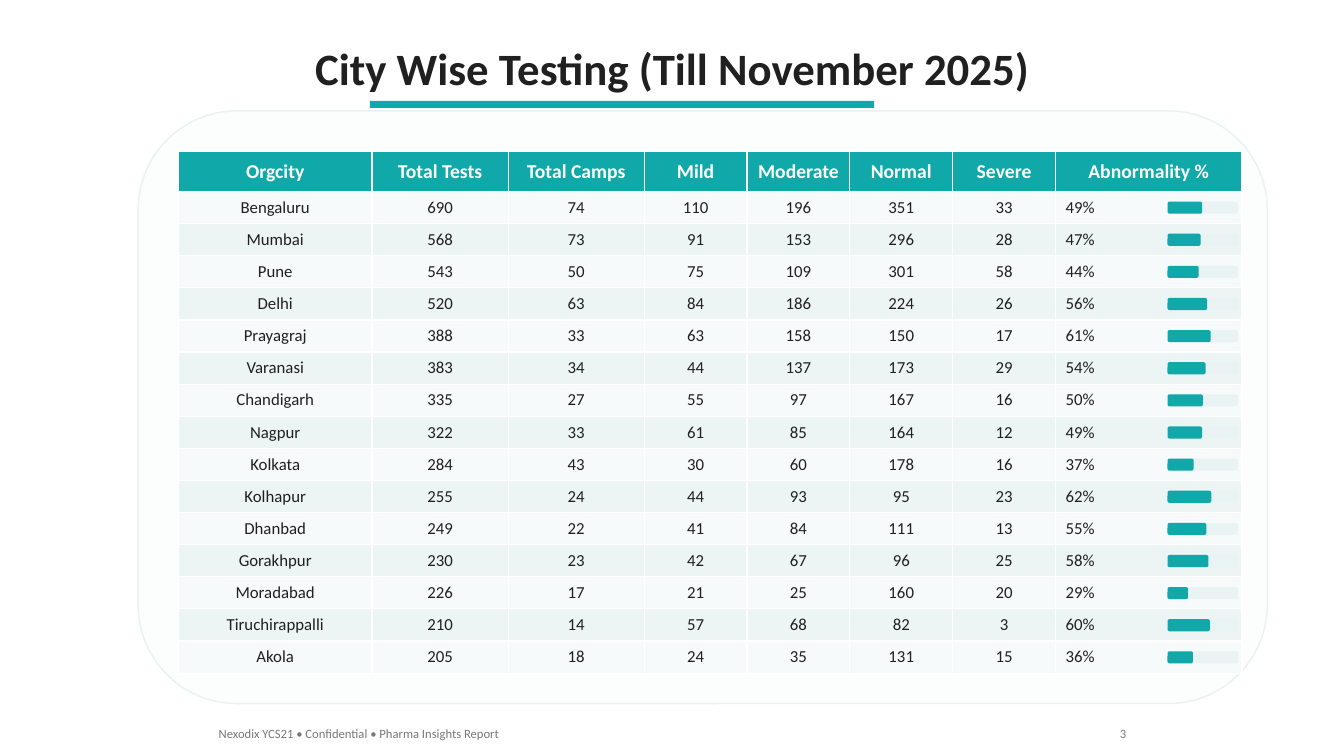
"""Build the city wise testing slide with its table and abnormality bars."""
from pptx import Presentation
from pptx.dml.color import RGBColor
from pptx.enum.shapes import MSO_SHAPE
from pptx.enum.text import MSO_ANCHOR, MSO_AUTO_SIZE, PP_ALIGN
from pptx.util import Inches, Pt

TEAL, INK, GREY, WHITE = "10A8A8", "202020", "787878", "FFFFFF"
CARD, CARD_EDGE, TRACK = "FCFDFD", "EBF0F0", "EAF3F3"
BANDS = ("F6FAFA", "ECF4F4")

HEADERS = ("Orgcity", "Total Tests", "Total Camps", "Mild", "Moderate",
           "Normal", "Severe", "Abnormality %")
CITIES = [
    ("Bengaluru", 690, 74, 110, 196, 351, 33, 49),
    ("Mumbai", 568, 73, 91, 153, 296, 28, 47),
    ("Pune", 543, 50, 75, 109, 301, 58, 44),
    ("Delhi", 520, 63, 84, 186, 224, 26, 56),
    ("Prayagraj", 388, 33, 63, 158, 150, 17, 61),
    ("Varanasi", 383, 34, 44, 137, 173, 29, 54),
    ("Chandigarh", 335, 27, 55, 97, 167, 16, 50),
    ("Nagpur", 322, 33, 61, 85, 164, 12, 49),
    ("Kolkata", 284, 43, 30, 60, 178, 16, 37),
    ("Kolhapur", 255, 24, 44, 93, 95, 23, 62),
    ("Dhanbad", 249, 22, 41, 84, 111, 13, 55),
    ("Gorakhpur", 230, 23, 42, 67, 96, 25, 58),
    ("Moradabad", 226, 17, 21, 25, 160, 20, 29),
    ("Tiruchirappalli", 210, 14, 57, 68, 82, 3, 60),
    ("Akola", 205, 18, 24, 35, 131, 15, 36),
]
TITLE_FORMAT = {"size": Pt(32), "bold": True}
HEADER_FORMAT = {"size": Pt(14), "bold": True}
BODY_FORMAT = {"size": Pt(12), "bold": False}
FOOTER_FORMAT = {"size": Pt(9)}
TEXTS = [
    ("City Wise Testing (Till November 2025)", (2.99, 0.35, 7.36, 0.64),
     TITLE_FORMAT, INK, PP_ALIGN.CENTER),
    ("Nexodix YCS21 • Confidential • Pharma Insights Report",
     (2.07, 7.15, 3.05, 0.25), FOOTER_FORMAT, GREY, PP_ALIGN.LEFT),
    ("3", (11, 7.15, 0.27, 0.25), FOOTER_FORMAT, GREY, PP_ALIGN.RIGHT),
]
COLUMN_WIDTHS = (1.92, 1.35, 1.35, 1.02, 1.02, 1.02, 1.02, 1.85)
TABLE_LEFT, TABLE_TOP, TABLE_HEIGHT, HEADER_HEIGHT = 1.77, 1.5, 5.18, 0.4
ROW_HEIGHT = (TABLE_HEIGHT - HEADER_HEIGHT) / len(CITIES)
BAR_LEFT, BAR_WIDTH, BAR_HEIGHT, BAR_OFFSET = 11.58, 0.7, 0.12, 0.1


def paint(target, colour):
    target.solid()
    target.fore_color.rgb = RGBColor.from_string(colour)


def write(frame, text, formats, colour, alignment):
    paragraph = frame.paragraphs[0]
    paragraph.alignment = alignment
    run = paragraph.add_run()
    run.text = text
    for name, value in {"name": "Calibri", **formats}.items():
        setattr(run.font, name, value)
    paint(run.font.fill, colour)


def add_box(slide, kind, box, colour, edge=None):
    shape = slide.shapes.add_shape(kind, *map(Inches, box))
    shape.shadow.inherit = False
    paint(shape.fill, colour)
    if edge:
        paint(shape.line.fill, edge)
        shape.line.width = Pt(1)
    else:
        shape.line.fill.background()


def add_text(slide, text, box, formats, colour, alignment):
    frame = slide.shapes.add_textbox(*map(Inches, box)).text_frame
    frame.word_wrap = False
    frame.auto_size = MSO_AUTO_SIZE.SHAPE_TO_FIT_TEXT
    write(frame, text, formats, colour, alignment)


def add_city_table(slide):
    box = (TABLE_LEFT, TABLE_TOP, sum(COLUMN_WIDTHS), TABLE_HEIGHT)
    table = slide.shapes.add_table(
        len(CITIES) + 1, len(HEADERS), *map(Inches, box)).table
    for column, width in zip(table.columns, COLUMN_WIDTHS):
        column.width = Inches(width)
    rows = [HEADERS] + [(*city[:-1], f"{city[-1]}%") for city in CITIES]
    for row_index, values in enumerate(rows):
        header = row_index == 0
        table.rows[row_index].height = Inches(HEADER_HEIGHT if header else ROW_HEIGHT)
        fill = TEAL if header else BANDS[(row_index - 1) % 2]
        formats, colour = (HEADER_FORMAT, WHITE) if header else (BODY_FORMAT, INK)
        for column_index, value in enumerate(values):
            cell = table.cell(row_index, column_index)
            cell.vertical_anchor = MSO_ANCHOR.MIDDLE
            paint(cell.fill, fill)
            percent = not header and column_index == len(HEADERS) - 1
            alignment = PP_ALIGN.LEFT if percent else PP_ALIGN.CENTER
            write(cell.text_frame, str(value), formats, colour, alignment)


def add_abnormality_bars(slide):
    for index, city in enumerate(CITIES):
        top = TABLE_TOP + HEADER_HEIGHT + index * ROW_HEIGHT + BAR_OFFSET
        for share, colour in ((1, TRACK), (city[-1] / 100, TEAL)):
            add_box(slide, MSO_SHAPE.ROUNDED_RECTANGLE,
                    (BAR_LEFT, top, BAR_WIDTH * share, BAR_HEIGHT), colour)


def main():
    presentation = Presentation()
    presentation.slide_width = Inches(13.33)
    presentation.slide_height = Inches(7.5)
    slide = presentation.slides.add_slide(presentation.slide_layouts[6])
    paint(slide.background.fill, WHITE)
    add_box(slide, MSO_SHAPE.RECTANGLE, (3.67, 1, 5, 0.07), TEAL)
    add_box(slide, MSO_SHAPE.ROUNDED_RECTANGLE, (1.37, 1.1, 11.2, 5.88), CARD, CARD_EDGE)
    add_city_table(slide)
    add_abnormality_bars(slide)
    for text in TEXTS:
        add_text(slide, *text)
    presentation.save("out.pptx")


if __name__ == "__main__":
    main()
